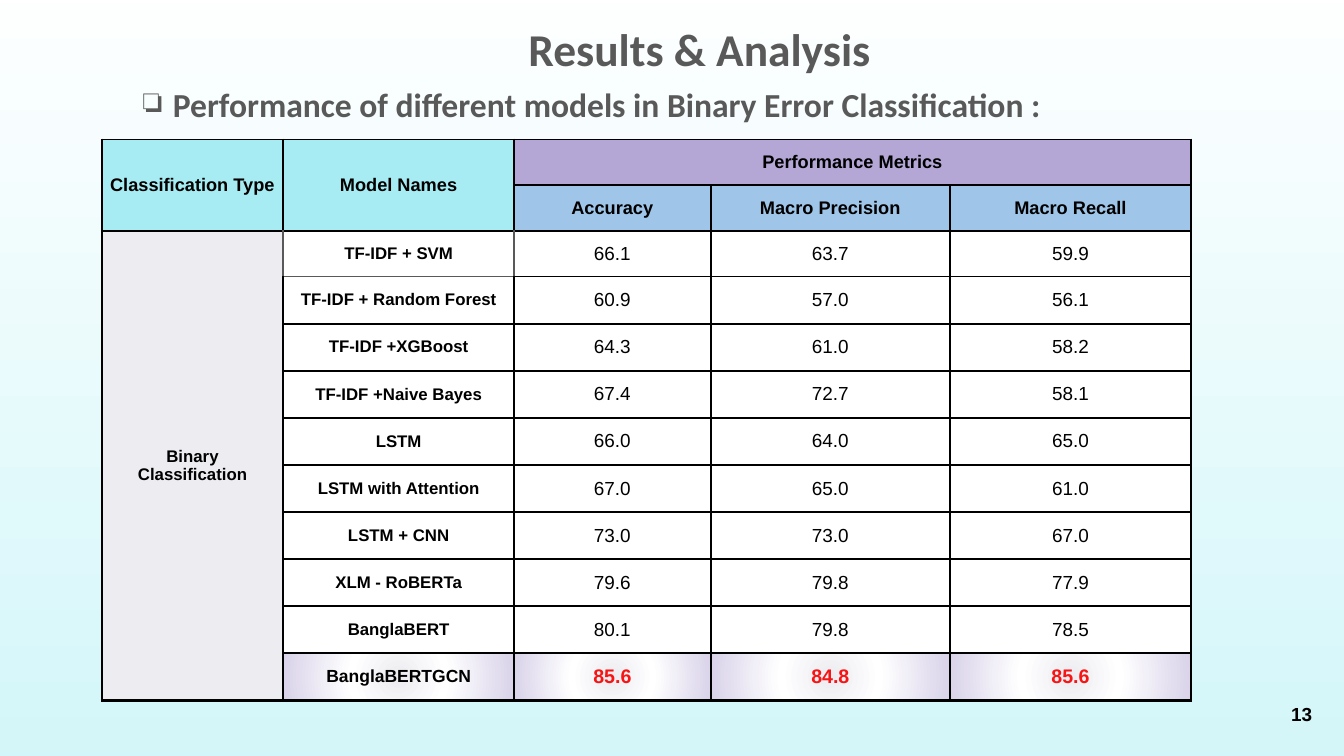
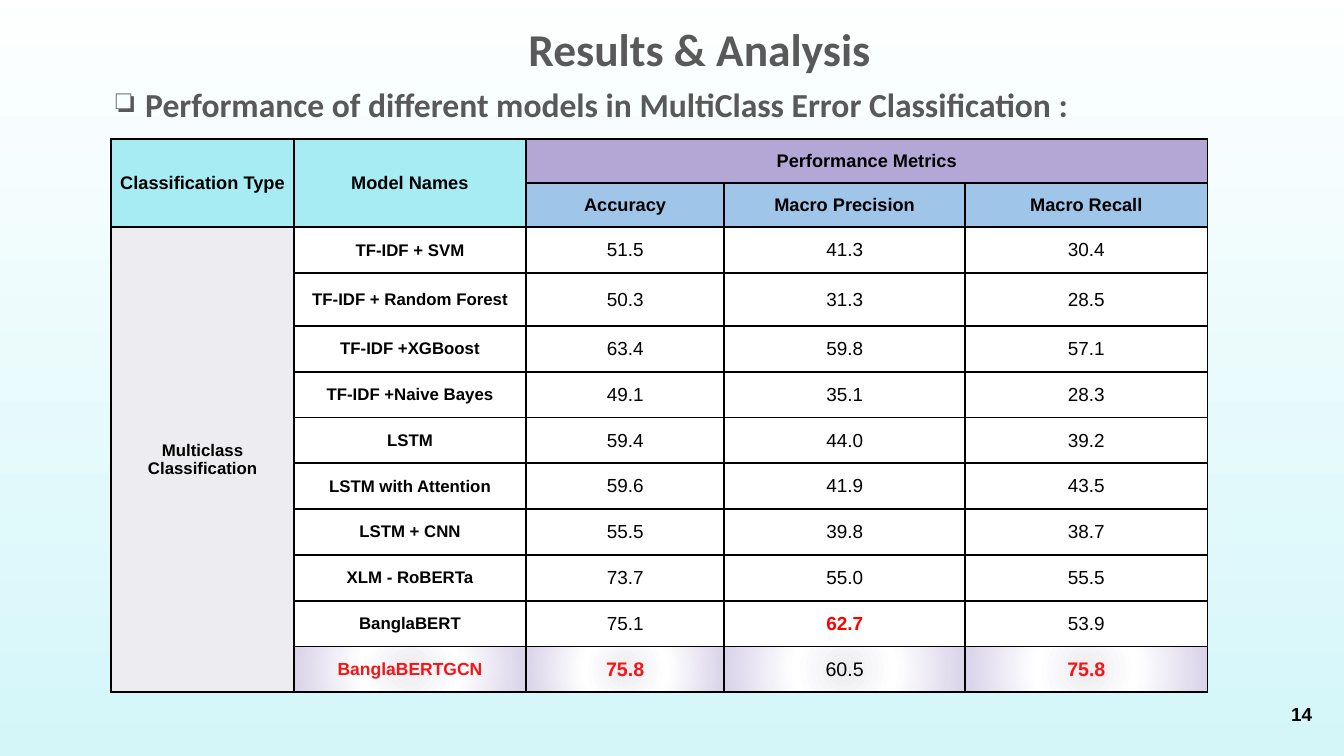
from dataclasses import dataclass

from lxml.etree import SubElement
from pptx import Presentation
from pptx.dml.color import RGBColor
from pptx.enum.shapes import MSO_SHAPE
from pptx.enum.text import MSO_ANCHOR, MSO_AUTO_SIZE, PP_ALIGN
from pptx.oxml.ns import qn
from pptx.util import Pt

BLACK = RGBColor(0x00, 0x00, 0x00)
GREY = RGBColor(0x59, 0x59, 0x59)
WHITE = RGBColor(0xFF, 0xFF, 0xFF)
PALE_CYAN = RGBColor(0xD2, 0xF6, 0xF9)
CYAN = RGBColor(0xA6, 0xEC, 0xF2)
PURPLE = RGBColor(0xB4, 0xA7, 0xD6)
BLUE = RGBColor(0x9F, 0xC5, 0xE8)
PALE_GREY = RGBColor(0xEC, 0xEC, 0xF1)
LILAC = RGBColor(0xD9, 0xD2, 0xE9)
SCARLET = RGBColor(0xF7, 0x14, 0x14)
RED = RGBColor(0xFF, 0x00, 0x00)

HEADING_FONT = "Calibri"
BODY_FONT = "Arial"
MODELS = [
    "TF-IDF + SVM", "TF-IDF + Random Forest", "TF-IDF +XGBoost",
    "TF-IDF +Naive Bayes", "LSTM", "LSTM with Attention", "LSTM + CNN",
    "XLM - RoBERTa", "BanglaBERT", "BanglaBERTGCN",
]
METRICS = ["Accuracy", "Macro Precision", "Macro Recall"]
FIRST_ROW = 2
LAST_ROW = FIRST_ROW + len(MODELS) - 1
GLOW_STOPS = [(0, PALE_GREY), (41, WHITE), (100, LILAC)]


@dataclass
class Results:
    """Content and table geometry of one results slide."""
    number: int
    backdrop_top: float
    subtitle: str
    kind: str
    left: float
    top: float
    widths: list
    heights: list
    scores: list
    best: set
    grey_edges: dict
    bottom_line: float


BINARY = Results(
    number=13,
    backdrop_top=-46.8,
    subtitle="Performance of different models in Binary Error Classification :",
    kind="Binary",
    left=145.4,
    top=199.4,
    widths=[259.2, 329.8, 280.8, 342, 344.2],
    heights=[65.2] * 3 + [67.3] * 9,
    scores=[
        (66.1, 63.7, 59.9), (60.9, 57.0, 56.1), (64.3, 61.0, 58.2),
        (67.4, 72.7, 58.1), (66.0, 64.0, 65.0), (67.0, 65.0, 61.0),
        (73.0, 73.0, 67.0), (79.6, 79.8, 77.9), (80.1, 79.8, 78.5),
        (85.6, 84.8, 85.6),
    ],
    best={(LAST_ROW, 2), (LAST_ROW, 3), (LAST_ROW, 4)},
    grey_edges={(2, 0): "R", (2, 1): "LRB", (2, 2): "L", (3, 1): "T"},
    bottom_line=6,
)
MULTICLASS = Results(
    number=14,
    backdrop_top=-38.2,
    subtitle="Performance of different models in MultiClass Error Classification :",
    kind="Multiclass",
    left=159.1,
    top=198,
    widths=[260.6, 331.9, 283, 344.2, 346.3],
    heights=[63.4] * 2 + [65.4, 75.6] + [65.4] * 8,
    scores=[
        (51.5, 41.3, 30.4), (50.3, 31.3, 28.5), (63.4, 59.8, 57.1),
        (49.1, 35.1, 28.3), (59.4, 44.0, 39.2), (59.6, 41.9, 43.5),
        (55.5, 39.8, 38.7), (73.7, 55.0, 55.5), (75.1, 62.7, 53.9),
        (75.8, 60.5, 75.8),
    ],
    best={(LAST_ROW - 1, 3), (LAST_ROW, 1), (LAST_ROW, 2), (LAST_ROW, 4)},
    grey_edges={},
    bottom_line=3,
)


def place(shape, left, top, width, height):
    """Set the position and size of a shape in points."""
    shape.left, shape.top = Pt(left), Pt(top)
    shape.width, shape.height = Pt(width), Pt(height)


def add_span(para, text, size, font, color, bold=True, align=PP_ALIGN.CENTER):
    """Add one formatted run to an aligned paragraph."""
    para.alignment = align
    span = para.add_run()
    span.text = text
    span.font.size = Pt(size)
    span.font.name = font
    span.font.bold = bold
    span.font.color.rgb = color


def prepare_frame(frame, inset=7.2):
    """Give a text frame wrapping, middle anchoring and even insets."""
    frame.word_wrap = True
    frame.auto_size = MSO_AUTO_SIZE.NONE
    frame.vertical_anchor = MSO_ANCHOR.MIDDLE
    frame.margin_left = frame.margin_right = Pt(inset)
    frame.margin_top = frame.margin_bottom = Pt(inset)


def add_backdrop(slide, top):
    """Put a white to pale cyan gradient behind the title."""
    backdrop = slide.shapes.add_shape(
        MSO_SHAPE.RECTANGLE, 0, Pt(top), Pt(1920), Pt(1173.6))
    backdrop.shadow.inherit = False
    backdrop.line.fill.background()
    backdrop.fill.gradient()
    backdrop.fill.gradient_angle = 270
    for stop, color in zip(backdrop.fill.gradient_stops, (WHITE, PALE_CYAN)):
        stop.color.rgb = color
    slide.shapes.title.element.addprevious(backdrop.element)


def set_title(slide, text):
    """Place and format the title placeholder."""
    title = slide.shapes.title
    place(title, 185, 10, 1629, 118)
    prepare_frame(title.text_frame)
    add_span(title.text_frame.paragraphs[0], text, 65, HEADING_FONT, GREY)


def add_subtitle(slide, text):
    """Add the bulleted line under the title."""
    box = slide.shapes.add_textbox(Pt(136.8), Pt(118), Pt(1425), Pt(62.6))
    prepare_frame(box.text_frame)
    para = box.text_frame.paragraphs[0]
    add_span(para, text, 48, HEADING_FONT, GREY)
    properties = para._p.get_or_add_pPr()
    properties.set("marL", str(Pt(36)))
    properties.set("indent", str(Pt(-42)))
    bullet_color = SubElement(properties, qn("a:buClr"))
    SubElement(bullet_color, qn("a:srgbClr"), val=str(GREY))
    SubElement(properties, qn("a:buChar"), char="❏")


def add_page_number(slide, number):
    """Add the page number at the lower right."""
    box = slide.shapes.add_textbox(Pt(1779), Pt(979), Pt(115), Pt(83))
    prepare_frame(box.text_frame, 19.4)
    add_span(box.text_frame.paragraphs[0], str(number), 27, BODY_FONT, BLACK,
             align=PP_ALIGN.RIGHT)


def set_border(cell, side, width, color):
    """Draw one solid border on a side of a cell (L, R, T or B)."""
    line = SubElement(cell._tc.get_or_add_tcPr(), qn(f"a:ln{side}"),
                      w=str(Pt(width)))
    fill = SubElement(line, qn("a:solidFill"))
    SubElement(fill, qn("a:srgbClr"), val=str(color))


def fill_glow(cell):
    """Fill a cell with a circular gradient."""
    gradient = SubElement(cell._tc.get_or_add_tcPr(), qn("a:gradFill"))
    stops = SubElement(gradient, qn("a:gsLst"))
    for position, color in GLOW_STOPS:
        stop = SubElement(stops, qn("a:gs"), pos=str(position * 1000))
        SubElement(stop, qn("a:srgbClr"), val=str(color))
    circle = SubElement(gradient, qn("a:path"), path="circle")
    SubElement(circle, qn("a:fillToRect"),
               l="50000", t="50000", r="50000", b="50000")


def cell_fill(row, col):
    """Choose the solid fill of a cell from its place."""
    if row < FIRST_ROW:
        return CYAN if col < 2 else (PURPLE, BLUE)[row]
    return PALE_GREY if col == 0 else WHITE


def style_cell(cell, row, col, results):
    """Set the anchor, insets, borders and fill of a cell."""
    cell.vertical_anchor = MSO_ANCHOR.MIDDLE
    cell.margin_left = cell.margin_right = Pt(7.2)
    cell.margin_top = cell.margin_bottom = Pt(7.2)
    at_bottom = row == LAST_ROW or (row, col) == (FIRST_ROW, 0)
    for side in "LRTB":
        width = results.bottom_line if side == "B" and at_bottom else 3
        grey = side in results.grey_edges.get((row, col), "")
        set_border(cell, side, width, GREY if grey else BLACK)
    if row == LAST_ROW and col > 0:
        fill_glow(cell)
    else:
        cell.fill.solid()
        cell.fill.fore_color.rgb = cell_fill(row, col)


def write_cell(cell, text, size, color=BLACK, bold=True):
    """Write text into a cell, one paragraph per line."""
    frame = cell.text_frame
    for index, line in enumerate(text.split("\n")):
        para = frame.add_paragraph() if index else frame.paragraphs[0]
        add_span(para, line, size, BODY_FONT, color, bold)


def write_headers(table, kind):
    """Merge and write the header cells and the classification type."""
    for first, last in [((0, 0), (1, 0)), ((0, 1), (1, 1)),
                        ((0, 2), (0, 4)), ((FIRST_ROW, 0), (LAST_ROW, 0))]:
        table.cell(*first).merge(table.cell(*last))
    write_cell(table.cell(0, 0), "Classification Type", 26)
    write_cell(table.cell(0, 1), "Model Names", 26)
    write_cell(table.cell(0, 2), "Performance Metrics", 26)
    for col, metric in enumerate(METRICS, start=2):
        write_cell(table.cell(1, col), metric, 26)
    write_cell(table.cell(FIRST_ROW, 0), f"{kind}\nClassification", 24)


def write_scores(table, results):
    """Write model names and scores, with the best ones in red."""
    for row, (model, scores) in enumerate(zip(MODELS, results.scores), FIRST_ROW):
        is_last = row == LAST_ROW
        texts = [model] + [f"{score:.1f}" for score in scores]
        for col, text in enumerate(texts, start=1):
            best = (row, col) in results.best
            size = (24 if col == 1 else 27) + is_last
            highlight = SCARLET if is_last else RED
            write_cell(table.cell(row, col), text, size,
                       highlight if best else BLACK, best or col == 1)


def add_results_table(slide, results):
    """Add the table of scores per model."""
    frame = slide.shapes.add_table(
        len(results.heights), len(results.widths),
        Pt(results.left), Pt(results.top),
        Pt(sum(results.widths)), Pt(sum(results.heights)))
    table = frame.table
    for column, width in zip(table.columns, results.widths):
        column.width = Pt(width)
    for row, height in zip(table.rows, results.heights):
        row.height = Pt(height)
    for row in range(len(results.heights)):
        for col in range(len(results.widths)):
            style_cell(table.cell(row, col), row, col, results)
    write_headers(table, results.kind)
    write_scores(table, results)


def add_results_slide(deck, results):
    """Add one complete results slide."""
    slide = deck.slides.add_slide(deck.slide_layouts[5])
    add_backdrop(slide, results.backdrop_top)
    set_title(slide, "Results & Analysis")
    add_subtitle(slide, results.subtitle)
    add_results_table(slide, results)
    add_page_number(slide, results.number)


def main():
    """Build and save the deck."""
    deck = Presentation()
    deck.slide_width, deck.slide_height = Pt(1920), Pt(1080)
    for results in (BINARY, MULTICLASS):
        add_results_slide(deck, results)
    deck.save("out.pptx")


if __name__ == "__main__":
    main()
